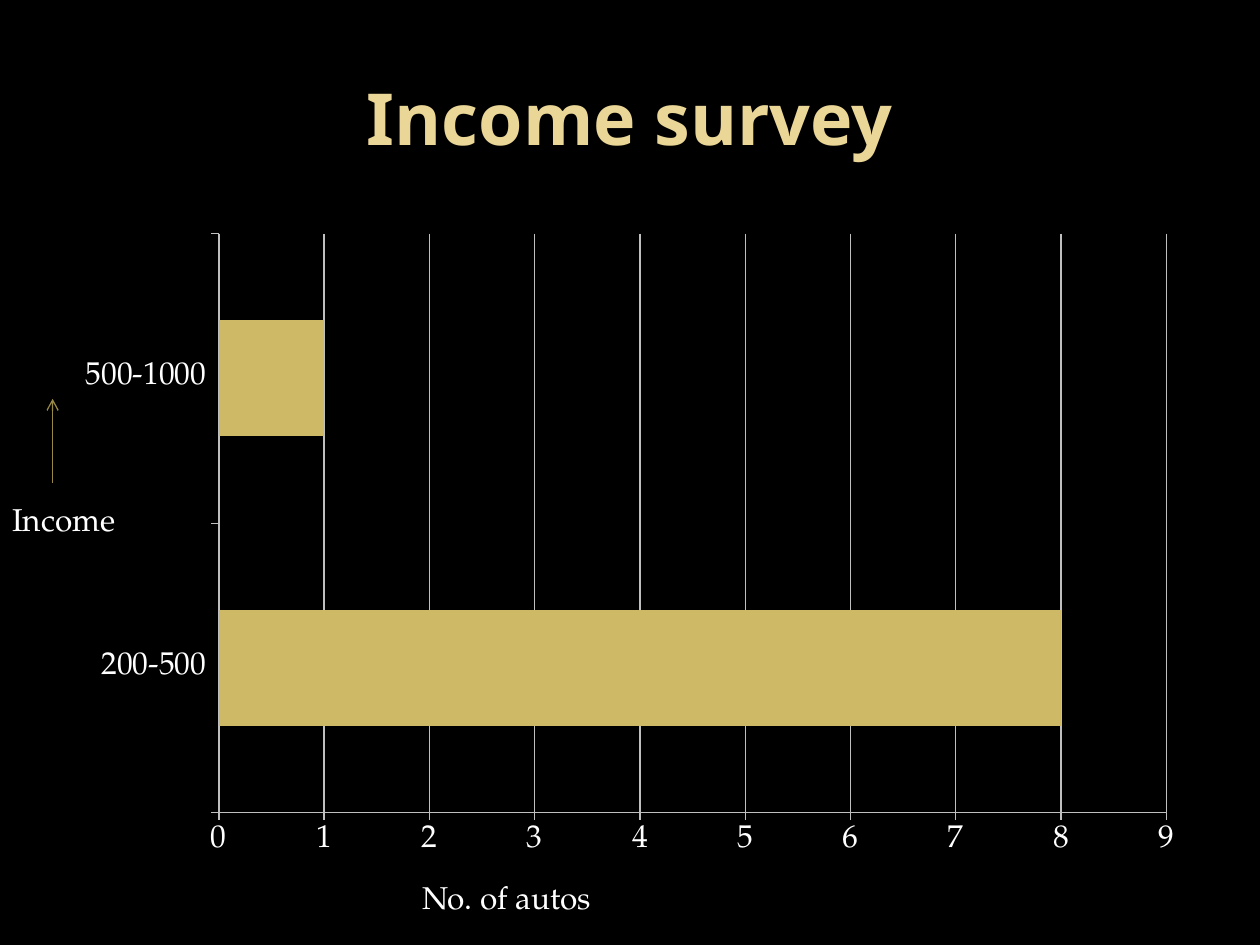
from lxml.etree import SubElement
from pptx import Presentation
from pptx.chart.data import CategoryChartData
from pptx.dml.color import RGBColor
from pptx.enum.chart import XL_CHART_TYPE, XL_TICK_MARK
from pptx.enum.shapes import MSO_CONNECTOR
from pptx.enum.text import MSO_ANCHOR, MSO_AUTO_SIZE, PP_ALIGN
from pptx.oxml.ns import qn
from pptx.util import Cm, Pt

COLORS = {
    "background": "000000",
    "title": "EAD696",
    "text": "FFFFFF",
    "bar": "CEB966",
    "arrow": "998946",
    "grid": "BFBFBF",
}
TITLE_FONT = "Noto Sans"
BODY_FONT = "TeX Gyre Pagella"


def color(name):
    return RGBColor.from_string(COLORS[name])


def format_font(font, name=BODY_FONT, size=18, fill="text", bold=False):
    font.name = name
    font.size = Pt(size)
    font.bold = bold
    font.color.rgb = color(fill)


def write_text(text_frame, text, align=PP_ALIGN.LEFT, **font_format):
    paragraph = text_frame.paragraphs[0]
    paragraph.alignment = align
    run = paragraph.add_run()
    run.text = text
    format_font(run.font, **font_format)


class SlideBuilder:
    def __init__(self, presentation):
        self.slide = presentation.slides.add_slide(presentation.slide_layouts[5])
        background = self.slide.background.fill
        background.solid()
        background.fore_color.rgb = color("background")

    def title(self, text, left, top, width, height):
        shape = self.slide.shapes.title
        shape.left, shape.top = Cm(left), Cm(top)
        shape.width, shape.height = Cm(width), Cm(height)
        shape.text_frame.vertical_anchor = MSO_ANCHOR.MIDDLE
        write_text(shape.text_frame, text, align=PP_ALIGN.CENTER,
                   name=TITLE_FONT, size=41, fill="title", bold=True)

    def label(self, text, left, top, width, height):
        shape = self.slide.shapes.add_textbox(Cm(left), Cm(top), Cm(width), Cm(height))
        shape.text_frame.word_wrap = False
        shape.text_frame.auto_size = MSO_AUTO_SIZE.SHAPE_TO_FIT_TEXT
        write_text(shape.text_frame, text)

    def bar_chart(self, categories, values, left, top, width, height):
        data = CategoryChartData()
        data.categories = categories
        data.add_series("Series 1", values)
        chart = self.slide.shapes.add_chart(
            XL_CHART_TYPE.BAR_CLUSTERED, Cm(left), Cm(top), Cm(width), Cm(height), data
        ).chart
        chart.has_legend = False
        chart.has_title = False
        format_font(chart.font)

        # Bars
        plot = chart.plots[0]
        plot.vary_by_categories = False
        plot.gap_width = 150
        fill = plot.series[0].format.fill
        fill.solid()
        fill.fore_color.rgb = color("bar")

        # Axes and gridlines
        value_axis = chart.value_axis
        value_axis.minimum_scale, value_axis.maximum_scale = 0, 9
        value_axis.major_unit = 1
        value_axis.has_major_gridlines = True
        for axis in (chart.category_axis, value_axis):
            axis.major_tick_mark = XL_TICK_MARK.OUTSIDE
            axis.minor_tick_mark = XL_TICK_MARK.NONE
        for part in (chart.category_axis, value_axis, value_axis.major_gridlines):
            part.format.line.color.rgb = color("grid")
            part.format.line.width = Pt(0.75)

    def arrow(self, start_x, start_y, end_x, end_y):
        connector = self.slide.shapes.add_connector(
            MSO_CONNECTOR.STRAIGHT, Cm(start_x), Cm(start_y), Cm(end_x), Cm(end_y))
        connector.line.color.rgb = color("arrow")
        connector.line.width = Pt(0.75)
        properties = connector.element.spPr
        SubElement(properties.find(qn("a:ln")), qn("a:tailEnd"), type="arrow")
        SubElement(properties, qn("a:effectLst"))


presentation = Presentation()
presentation.slide_width, presentation.slide_height = Cm(25.4), Cm(19.05)
builder = SlideBuilder(presentation)

# Title and chart
builder.title("Income survey", 1.27, 0.76, 22.86, 3.18)
builder.bar_chart(["200-500", "500-1000"], [8, 1], 1.27, 4.45, 22.86, 13.08)

# Axis captions
builder.label("No. of autos", 8.26, 17.57, 3.99, 1.03)
builder.label("Income ", 0, 9.95, 2.77, 1.03)
builder.arrow(1.06, 9.74, 1.06, 8.04)

presentation.save("out.pptx")
